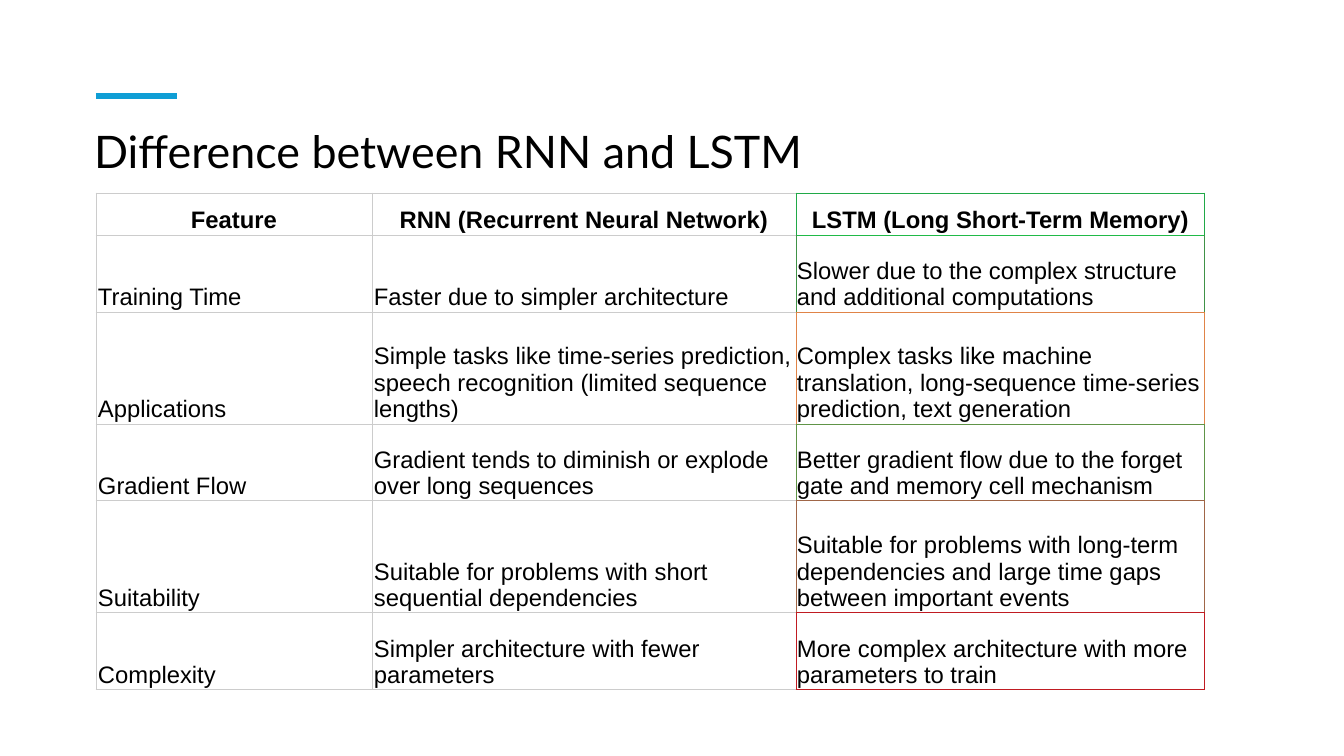
from lxml import etree
from pptx import Presentation
from pptx.dml.color import RGBColor
from pptx.enum.shapes import MSO_CONNECTOR
from pptx.enum.text import MSO_ANCHOR, MSO_AUTO_SIZE, PP_ALIGN
from pptx.oxml.ns import qn
from pptx.util import Pt

PX = 914400 / 100.8
COLORS = {"text": "000000", "accent": "0F9ED5", "grid": "CCCCCC", "header_rule": "20BA48"}
COL_WIDTHS = [276, 424, 409]
ROWS = [
    (42, "20A948", "Feature", "RNN (Recurrent Neural Network)", "LSTM (Long Short-Term Memory)"),
    (77, "409247", "Training Time", "Faster due to simpler architecture",
     "Slower due to the complex structure and additional computations"),
    (112, "E08447", "Applications",
     "Simple tasks like time-series prediction, speech recognition (limited sequence lengths)",
     "Complex tasks like machine translation, long-sequence time-series prediction, text generation"),
    (77, "609447", "Gradient Flow", "Gradient tends to diminish or explode over long sequences",
     "Better gradient flow due to the forget gate and memory cell mechanism"),
    (112, "A06647", "Suitability", "Suitable for problems with short sequential dependencies",
     "Suitable for problems with long-term dependencies and large time gaps between important events"),
    (77, "C01B22", "Complexity", "Simpler architecture with fewer parameters",
     "More complex architecture with more parameters to train"),
]


def px(n):
    return round(n * PX)


def set_borders(cell, left, right, top, bottom):
    tcPr = cell._tc.get_or_add_tcPr()
    for i, (side, color) in enumerate(zip("LRTB", (left, right, top, bottom))):
        ln = etree.Element(qn(f"a:ln{side}"), w=str(Pt(0.75)))
        fill = etree.SubElement(ln, qn("a:solidFill"))
        etree.SubElement(fill, qn("a:srgbClr"), val=color)
        tcPr.insert(i, ln)


prs = Presentation()
prs.slide_width, prs.slide_height = px(1344), px(756)
s = prs.slides.add_slide(prs.slide_layouts[5])

title = s.shapes.title
title.left, title.top, title.width, title.height = px(84), px(125), px(1074), px(122)
tf = title.text_frame
tf.text = "Difference between RNN and LSTM"
tf.word_wrap = True
tf.auto_size = MSO_AUTO_SIZE.NONE
tf.vertical_anchor = MSO_ANCHOR.TOP
p = tf.paragraphs[0]
p.alignment = PP_ALIGN.LEFT
p.line_spacing = 0.9
p.font.name = "Lato"
p.font.size = Pt(32)
p.font.color.rgb = RGBColor.from_string(COLORS["text"])

accent = s.shapes.add_connector(MSO_CONNECTOR.STRAIGHT, px(96), px(96), px(177), px(96))
accent.line.color.rgb = RGBColor.from_string(COLORS["accent"])
accent.line.width = Pt(4.5)
etree.SubElement(accent._element.spPr, qn("a:effectLst"))

height = sum(row[0] for row in ROWS)
table = s.shapes.add_table(len(ROWS), 3, px(96), px(193), px(sum(COL_WIDTHS)), px(height)).table
table.first_row = table.horz_banding = False
for col, width in zip(table.columns, COL_WIDTHS):
    col.width = px(width)

grid = COLORS["grid"]
top = ROWS[0][1]
for i, (row_height, edge, *texts) in enumerate(ROWS):
    table.rows[i].height = px(row_height)
    bottom = COLORS["header_rule"] if i == 0 else ROWS[min(i + 1, len(ROWS) - 1)][1]
    borders = [(grid, grid, grid, grid), (grid, edge, grid, grid), (edge, edge, top, bottom)]
    for j, text in enumerate(texts):
        cell = table.cell(i, j)
        cell.text = text
        cell.vertical_anchor = MSO_ANCHOR.BOTTOM
        cell.margin_left = cell.margin_right = px(1 if j == 2 else 2)
        cell.margin_top = cell.margin_bottom = px(1)
        cell.fill.background()
        set_borders(cell, *borders[j])
        p = cell.text_frame.paragraphs[0]
        p.alignment = PP_ALIGN.CENTER if i == 0 else PP_ALIGN.LEFT
        p.font.name = "Arial"
        p.font.size = Pt(17)
        p.font.bold = i == 0
        p.font.color.rgb = RGBColor.from_string(COLORS["text"])
    top = bottom

prs.save("out.pptx")
